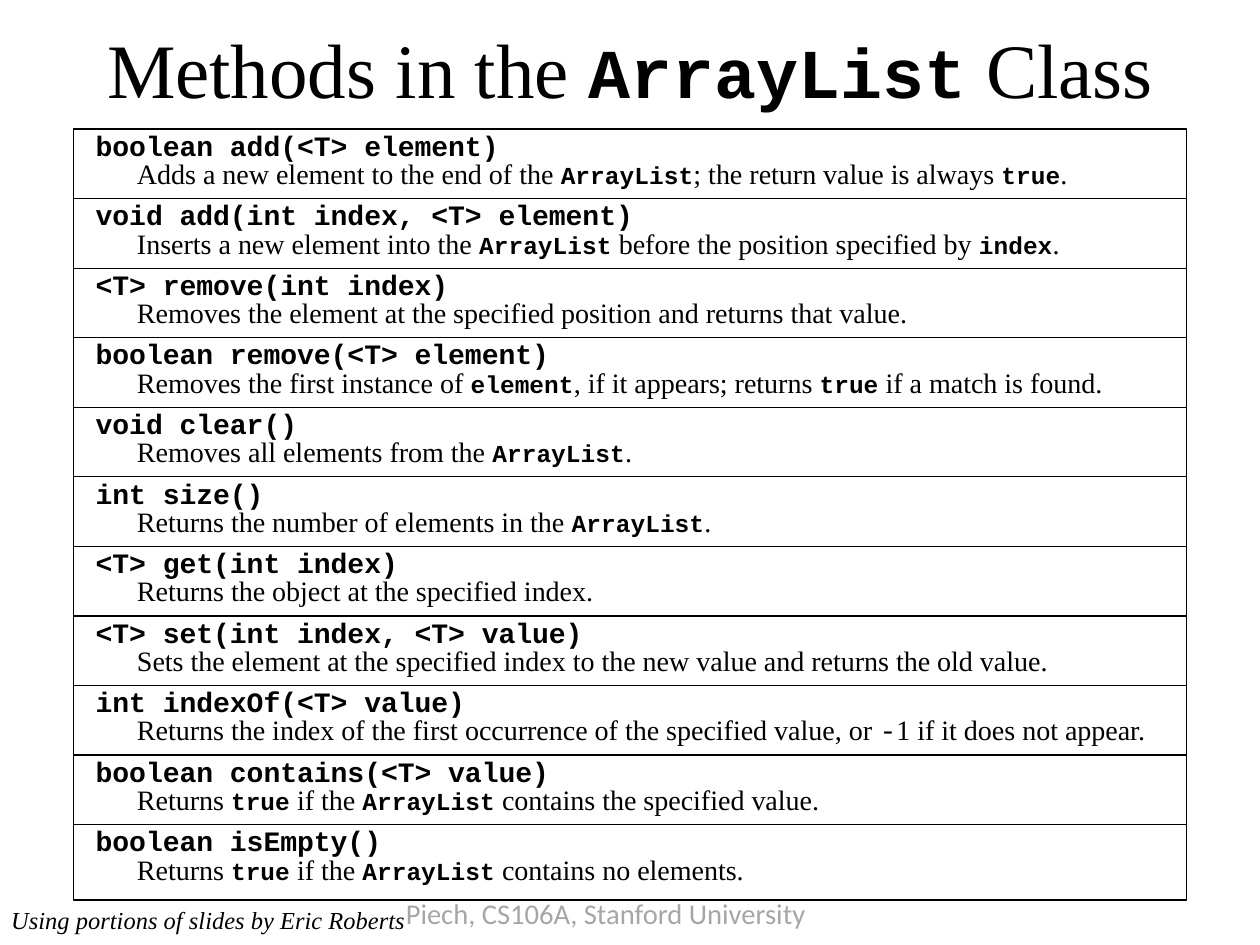
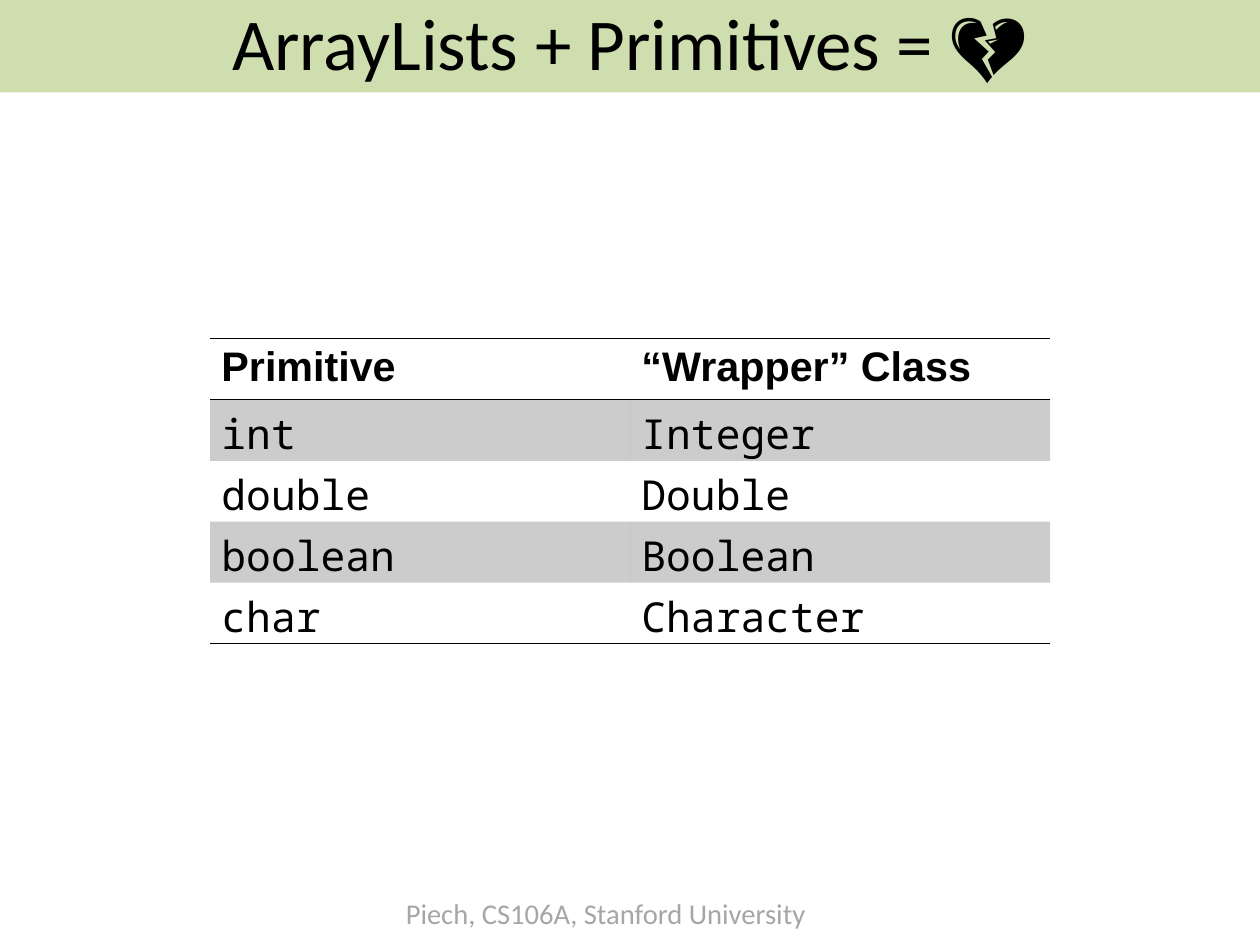
from lxml import etree
from pptx import Presentation, util as u
from pptx.dml.color import RGBColor
from pptx.enum import shapes, text
from pptx.oxml import ns

# Shared look
WIDTH, HEIGHT = u.Cm(28), u.Cm(21)
BLACK = RGBColor(0x00, 0x00, 0x00)
WHITE = RGBColor(0xFF, 0xFF, 0xFF)
GREY = RGBColor(0xA6, 0xA6, 0xA6)
GREEN = RGBColor(0xC3, 0xD6, 0x9B)
SERIF, CODE, SANS = "Times New Roman", "Courier New", "Calibri"
HEADING, MONO = "Arial", "Noto Sans Mono"
BODY_SIZE, SMALL_SIZE = 17.64, 15.44
TIGHT = 0.93
TITLE_ONLY = 5
PLAIN_TABLE = "{2D5ABB26-0587-4C30-8999-92F81FD0307C}"

# Method list: shares of the slide in percent
LIST_TOP, ROW_STEP, ROW_HEIGHT, LINE_HEIGHT = 13.66, 7.36, 7.98, 4.6

# Backticks mark code inside the descriptions
METHODS = [
    ("boolean add(<T> element)",
     "Adds a new element to the end of the `ArrayList`; the return value is always `true`."),
    ("void add(int index, <T> element)",
     "Inserts a new element into the `ArrayList` before the position specified by `index`."),
    ("<T> remove(int index)",
     "Removes the element at the specified position and returns that value."),
    ("boolean remove(<T> element)",
     "Removes the first instance of `element`, if it appears; returns `true` if a match is found."),
    ("void clear()", "Removes all elements from the `ArrayList`."),
    ("int size()", "Returns the number of elements in the `ArrayList`."),
    ("<T> get(int index)", "Returns the object at the specified index."),
    ("<T> set(int index, <T> value)",
     "Sets the element at the specified index to the new value and returns the old value."),
    ("int indexOf(<T> value)",
     "Returns the index of the first occurrence of the specified value, or `-`1 if it does not appear."),
    ("boolean contains(<T> value)",
     "Returns `true` if the `ArrayList` contains the specified value."),
    ("boolean isEmpty()", "Returns `true` if the `ArrayList` contains no elements."),
]

WRAPPERS = [
    ("Primitive", "“Wrapper” Class"),
    ("int", "Integer"),
    ("double", "Double"),
    ("boolean", "Boolean"),
    ("char", "Character"),
]


def area(left, top, width, height):
    """Turn percentages of the slide into lengths."""
    return (round(WIDTH * left / 100), round(HEIGHT * top / 100),
            round(WIDTH * width / 100), round(HEIGHT * height / 100))


def style(font, name, size, color=BLACK, bold=False, italic=False):
    font.name, font.size, font.color.rgb = name, u.Pt(size), color
    font.bold, font.italic = bold, italic


def write_mixed(para, marked, size, code_size):
    """Write serif text with bold code between backticks."""
    for index, piece in enumerate(marked.split("`")):
        if not piece:
            continue
        span = para.add_run()
        span.text = piece
        if index % 2 == 0:
            style(span.font, SERIF, size)
        elif piece == "-":
            style(span.font, CODE, size)
        else:
            style(span.font, CODE, code_size, bold=True)


def add_box(page, place):
    """Add a text box and return its first paragraph."""
    frame = page.shapes.add_textbox(*area(*place)).text_frame
    frame.word_wrap = True
    para = frame.paragraphs[0]
    para.line_spacing = TIGHT
    return para


def add_label(page, place, words, *look, **extra):
    para = add_box(page, place)
    para.text = words
    style(para.runs[0].font, *look, **extra)


def add_page(deck, title_height):
    """Add a page with its footer; return it with its title."""
    page = deck.slides.add_slide(deck.slide_layouts[TITLE_ONLY])
    add_label(page, (31.31, 94.56, 33.94, LINE_HEIGHT),
              "Piech, CS106A, Stanford University", SANS, 18, GREY)
    title = page.shapes.title
    title.left, title.top, title.width, title.height = area(0, 0, 100, title_height)
    frame = title.text_frame
    frame.auto_size = text.MSO_AUTO_SIZE.NONE
    frame.vertical_anchor = text.MSO_ANCHOR.MIDDLE
    frame.paragraphs[0].alignment = text.PP_ALIGN.CENTER
    return page, title


def fill_sheer(fill, color, opacity):
    """Fill with a colour at an opacity in percent."""
    fill.solid()
    fill.fore_color.rgb = color
    node = fill._xPr.find(".//" + ns.qn("a:srgbClr"))
    etree.SubElement(node, ns.qn("a:alpha"), val=str(opacity * 1000))


def add_rule(cell, side):
    """Draw a 1 pt border on a cell's side (lnT or lnB)."""
    line = etree.SubElement(cell._tc.get_or_add_tcPr(), ns.qn("a:" + side),
                            w=str(u.Pt(1)))
    paint = etree.SubElement(line, ns.qn("a:solidFill"))
    etree.SubElement(paint, ns.qn("a:srgbClr"), val=str(BLACK))


def add_method(page, row, signature, description):
    top = LIST_TOP + row * ROW_STEP
    frame = page.shapes.add_shape(shapes.MSO_SHAPE.RECTANGLE,
                                  *area(5.81, top, 88.38, ROW_HEIGHT))
    frame.shadow.inherit = False
    frame.fill.solid()
    frame.fill.fore_color.rgb = WHITE
    frame.line.color.rgb = BLACK
    frame.line.width = u.Pt(0.75)
    add_label(page, (6.7, top - 0.36, 85.84, LINE_HEIGHT), signature,
              CODE, BODY_SIZE, bold=True)
    para = add_box(page, (9.98, top + 2.62, 83.39, LINE_HEIGHT))
    write_mixed(para, description, BODY_SIZE, SMALL_SIZE)


def add_wrapper_table(page, rows):
    graphic = page.shapes.add_table(len(rows), len(rows[0]),
                                    *area(16.67, 35.85, 66.67, 32.28))
    table = graphic.table
    table.first_row = table.horz_banding = False
    table._tbl.tblPr.find(ns.qn("a:tableStyleId")).text = PLAIN_TABLE
    for r, words in enumerate(rows):
        header = r == 0
        for c, word in enumerate(words):
            cell = table.cell(r, c)
            cell.margin_top, cell.margin_bottom = u.Inches(0.07), u.Inches(0.03)
            if header:
                add_rule(cell, "lnT")
            if header or r == len(rows) - 1:
                add_rule(cell, "lnB")
            if r % 2:
                fill_sheer(cell.fill, BLACK, 20)
            else:
                cell.fill.background()
            para = cell.text_frame.paragraphs[0]
            para.text, para.line_spacing = word, TIGHT
            style(para.runs[0].font, HEADING if header else MONO, 26, bold=header)


def build_methods(deck):
    page, title = add_page(deck, 14.39)
    write_mixed(title.text_frame.paragraphs[0],
                "Methods in the `ArrayList` Class", 48.5, 44.1)
    for row, (signature, description) in enumerate(METHODS):
        add_method(page, row, signature, description)
    add_label(page, (0, 95.48, 54.17, 4.11),
              "Using portions of slides by Eric Roberts", SERIF, SMALL_SIZE,
              italic=True)


def build_wrappers(deck):
    page, title = add_page(deck, 9.79)
    fill_sheer(title.fill, GREEN, 80)
    para = title.text_frame.paragraphs[0]
    para.text, para.line_spacing = "ArrayLists + Primitives = 💔", TIGHT
    style(para.runs[0].font, SANS, 46)
    add_wrapper_table(page, WRAPPERS)


def main():
    deck = Presentation()
    deck.slide_width, deck.slide_height = WIDTH, HEIGHT
    build_methods(deck)
    build_wrappers(deck)
    deck.save("out.pptx")


if __name__ == "__main__":
    main()
